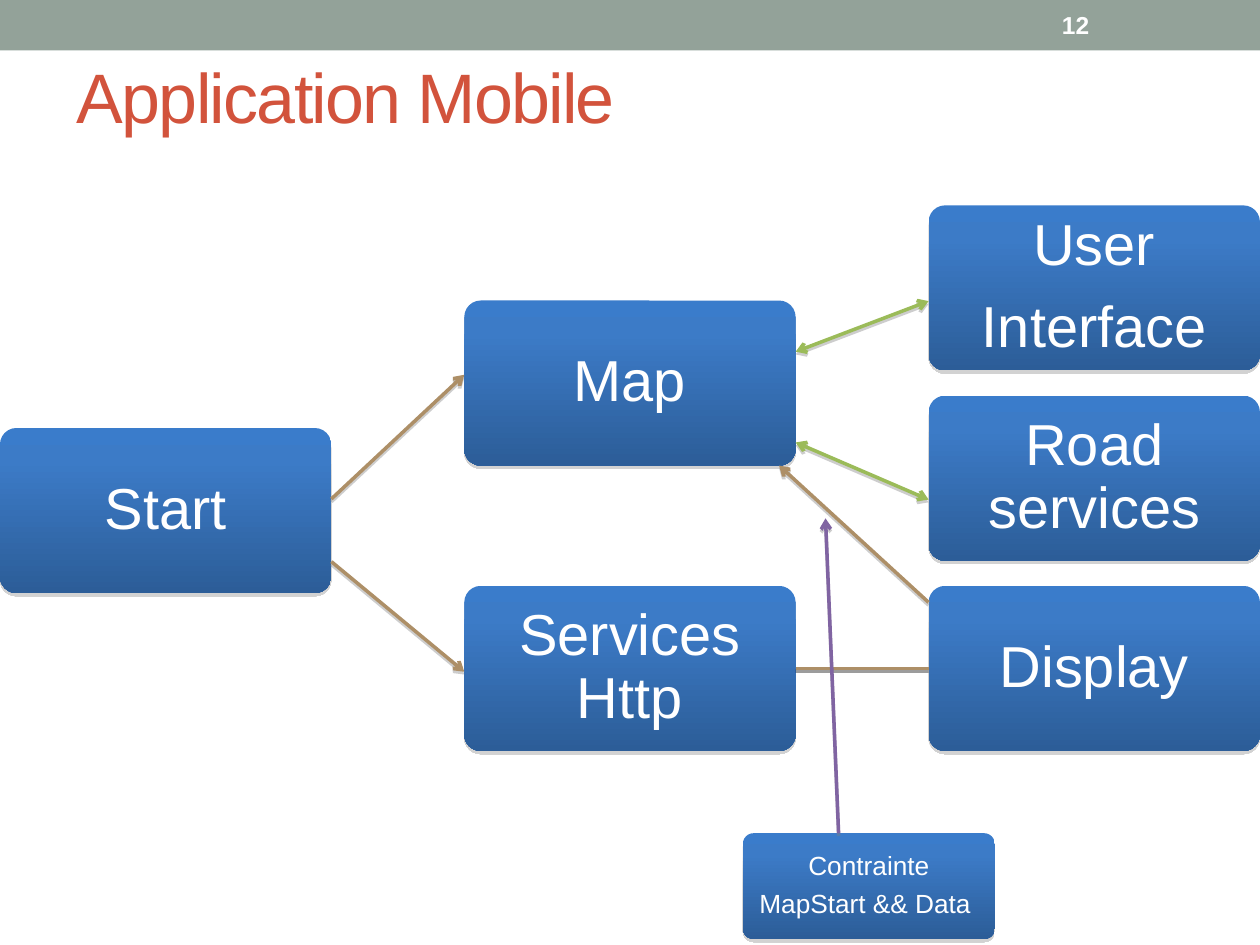
from copy import deepcopy
from dataclasses import dataclass

import pptx
import pptx.dml.color
import pptx.enum.shapes
import pptx.enum.text
import pptx.oxml
import pptx.oxml.ns
import pptx.util


@dataclass(frozen=True)
class Theme:
    font: str = "Arial"
    title: str = "D2533C"
    band: str = "93A299"
    light: str = "FFFFFF"
    shadow: str = "808080"
    flow: str = "AD8F67"
    exchange: str = "9BBB59"
    constraint: str = "8064A2"
    gradient: tuple = ((0, "3A7CCB"), (0.2, "3C7BC7"), (1, "2C5D98"))
    title_size: float = 40
    step_size: float = 33
    note_size: float = 15
    number_size: float = 14
    line_width: float = 2


@dataclass(frozen=True)
class Step:
    lines: tuple
    column: float
    row: float
    size: float
    wide: float = 1
    high: float = 1

    @property
    def frame(self) -> tuple:
        return (self.column * COLUMN_STEP, FIRST_ROW + self.row * ROW_STEP,
                self.wide * STEP_WIDTH, self.high * STEP_HEIGHT)

    def at(self, across: float, down: float) -> tuple:
        left, top, width, height = self.frame
        return left + across * width, top + down * height


@dataclass(frozen=True)
class Link:
    start: tuple
    end: tuple
    color: str
    head: bool = False
    tail: bool = True
    shadow: str = Theme.shadow


THEME = Theme()
SLIDE_WIDTH, SLIDE_HEIGHT = 10, 7.5
STEP_WIDTH, STEP_HEIGHT = 2.63, 1.31
COLUMN_STEP = (SLIDE_WIDTH - STEP_WIDTH) / 2
FIRST_ROW, ROW_STEP = 1.63, 1.51
ANCHOR = pptx.enum.text.MSO_ANCHOR.MIDDLE
LEFT = pptx.enum.text.PP_ALIGN.LEFT
CENTER = pptx.enum.text.PP_ALIGN.CENTER


def rgb(value: str) -> pptx.dml.color.RGBColor:
    return pptx.dml.color.RGBColor.from_string(value)


def inches(*values: float) -> list:
    return [pptx.util.Inches(value) for value in values]


def place(shape, left: float, top: float, width: float, height: float) -> None:
    shape.left, shape.top, shape.width, shape.height = inches(left, top, width, height)


def write(shape, *lines: str, size: float, color: str = THEME.light, bold: bool = False,
          align=LEFT, inset: float | None = None, leading: float | None = None,
          after: float = 0, tracking: float = 0) -> None:
    frame = shape.text_frame
    frame.word_wrap = True
    frame.auto_size = pptx.enum.text.MSO_AUTO_SIZE.NONE
    frame.vertical_anchor = ANCHOR
    if inset is not None:
        frame.margin_left = frame.margin_right = pptx.util.Inches(inset)
        frame.margin_top = frame.margin_bottom = pptx.util.Inches(inset)
    for index, line in enumerate(lines):
        paragraph = frame.paragraphs[0] if index == 0 else frame.add_paragraph()
        paragraph.alignment = align
        paragraph.line_spacing = leading
        paragraph.space_after = pptx.util.Pt(after)
        run = paragraph.add_run()
        run.text = line
        run.font.name = THEME.font
        run.font.size = pptx.util.Pt(size)
        run.font.bold = bold
        run.font.color.rgb = rgb(color)
        if tracking:
            run.font._element.set("spc", str(round(tracking * 100)))


def cast_shadow(shape, color: str, opacity: int, distance: float) -> None:
    shape._element.spPr.append(pptx.oxml.parse_xml(
        f'<a:effectLst {pptx.oxml.ns.nsdecls("a")}>'
        f'<a:outerShdw blurRad="0" dist="{pptx.util.Pt(distance)}" dir="5400000" rotWithShape="0">'
        f'<a:srgbClr val="{color}"><a:alpha val="{opacity * 1000}"/></a:srgbClr>'
        '</a:outerShdw></a:effectLst>'))


def draw_step(slide, step: Step) -> None:
    box = slide.shapes.add_shape(
        pptx.enum.shapes.MSO_SHAPE.ROUNDED_RECTANGLE, *inches(*step.frame))
    box.adjustments[0] = 0.1
    box.fill.gradient()
    box.fill.gradient_angle = 270
    first = box.fill.gradient_stops[0]._gs
    first.addnext(deepcopy(first))
    for stop, (position, color) in zip(box.fill.gradient_stops, THEME.gradient):
        stop.position = position
        stop.color.rgb = rgb(color)
    box.line.fill.background()
    cast_shadow(box, THEME.shadow, 35, 1.8)
    write(box, *step.lines, size=step.size, align=CENTER, inset=0.06,
          leading=0.9, after=0.35 * step.size)


def draw_link(slide, link: Link) -> None:
    arrow = slide.shapes.add_connector(
        pptx.enum.shapes.MSO_CONNECTOR.STRAIGHT, *inches(*link.start, *link.end))
    arrow.line.color.rgb = rgb(link.color)
    arrow.line.width = pptx.util.Pt(THEME.line_width)
    for tag, wanted in (("headEnd", link.head), ("tailEnd", link.tail)):
        if wanted:
            arrow.line._get_or_add_ln().append(pptx.oxml.parse_xml(
                f'<a:{tag} {pptx.oxml.ns.nsdecls("a")} type="arrow"/>'))
    cast_shadow(arrow, link.shadow, 38, 1.6)


def main() -> None:
    deck = pptx.Presentation()
    deck.slide_width, deck.slide_height = inches(SLIDE_WIDTH, SLIDE_HEIGHT)
    slide = deck.slides.add_slide(deck.slide_layouts[5])

    band = slide.shapes.add_shape(
        pptx.enum.shapes.MSO_SHAPE.RECTANGLE, *inches(0, 0, SLIDE_WIDTH, 0.4))
    band.shadow.inherit = False
    band.fill.solid()
    band.fill.fore_color.rgb = rgb(THEME.band)
    band.line.fill.background()

    heading = slide.shapes.title
    place(heading, 0.51, 0.13, 0.9 * SLIDE_WIDTH, 1.25)
    write(heading, "Application Mobile", size=THEME.title_size, color=THEME.title, tracking=-1)
    page_number = slide.shapes.add_textbox(*inches(8.33, 0.02, 1.17, 0.36))
    write(page_number, "12", size=THEME.number_size, bold=True)

    start = Step(("Start",), 0, 1.17, THEME.step_size)
    map_view = Step(("Map",), 1, 0.5, THEME.step_size)
    interface = Step(("User", "Interface"), 2, 0, THEME.step_size)
    road = Step(("Road services",), 2, 1, THEME.step_size)
    http = Step(("Services Http",), 1, 2, THEME.step_size)
    display = Step(("Display",), 2, 2, THEME.step_size)
    constraint = Step(("Contrainte", "MapStart && Data "), 1.6, 3.3, THEME.note_size, 0.76, 0.64)
    for step in (start, map_view, interface, road, http, display, constraint):
        draw_step(slide, step)

    links = (
        Link(http.at(1, 0.5), display.at(0, 0.5), THEME.flow, tail=False, shadow="000000"),
        Link(display.at(0, 0.1), map_view.at(0.95, 1), THEME.flow),
        Link(start.at(1, 0.43), map_view.at(0, 0.45), THEME.flow),
        Link(start.at(1, 0.81), http.at(0, 0.52), THEME.flow),
        Link(interface.at(0, 0.58), map_view.at(1, 0.31), THEME.exchange, head=True),
        Link(road.at(0, 0.63), map_view.at(1, 0.86), THEME.exchange, head=True),
        Link(constraint.at(0.38, 0), map_view.at(1.09, 1.32), THEME.constraint),
    )
    for link in links:
        draw_link(slide, link)

    deck.save("out.pptx")


if __name__ == "__main__":
    main()
